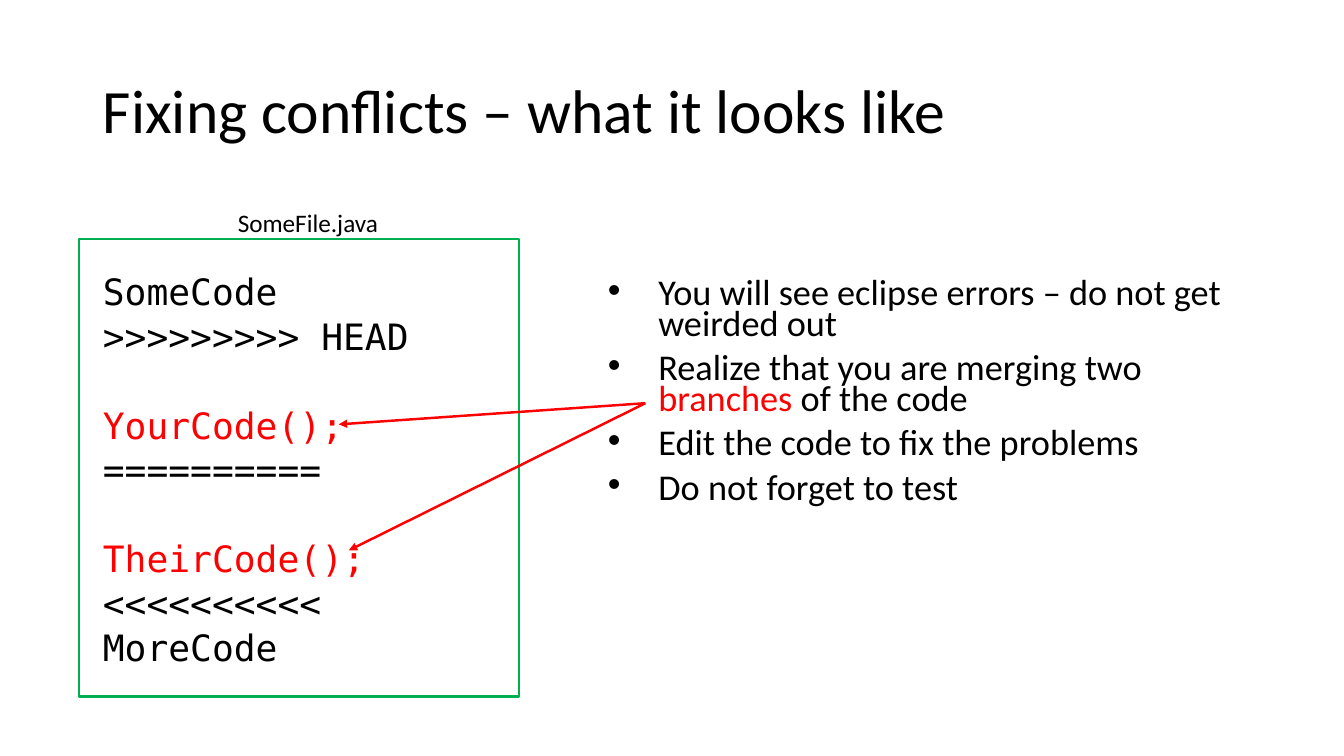
from lxml import etree
from pptx import Presentation
from pptx import util as u
from pptx.dml.color import RGBColor
from pptx.enum import shapes, text
from pptx.oxml.ns import qn

BLACK, RED, GREEN = "000000", "FF0000", "00B050"
SANS, MONO = "Calibri", "DejaVu Sans Mono"


def rgb(value):
    return RGBColor.from_string(value)


def add_text(p, content, font=SANS, size=18, color=BLACK):
    r = p.add_run()
    r.text = content
    r.font.name, r.font.size = font, u.Pt(size)
    r.font.color.rgb = rgb(color)


def set_bullet(p, char=None, indent=0):
    pPr = p._p.get_or_add_pPr()
    pPr.set("marL", str(u.Inches(indent)))
    pPr.set("indent", str(-u.Inches(indent)))
    if char:
        etree.SubElement(pPr, qn("a:buChar")).set("char", char)
    else:
        etree.SubElement(pPr, qn("a:buNone"))


class SlideBuilder:
    def __init__(self, prs):
        self.s = prs.slides.add_slide(prs.slide_layouts.get_by_name("Two Content"))

    def placeholder(self, idx, box):
        sp = self.s.placeholders[idx]
        sp.left, sp.top, sp.width, sp.height = map(u.Inches, box)
        tf = sp.text_frame
        tf.word_wrap, tf.auto_size = True, text.MSO_AUTO_SIZE.NONE
        return tf

    def title(self, content, box):
        tf = self.placeholder(0, box)
        tf.vertical_anchor = text.MSO_ANCHOR.MIDDLE
        p = tf.paragraphs[0]
        p.alignment, p.line_spacing = text.PP_ALIGN.LEFT, 0.9
        add_text(p, content, size=44)

    def body(self, idx, box, items, font=SANS, bullet=None, indent=0):
        """Each item is (space before, [(text, colour), ...])."""
        tf = self.placeholder(idx, box)
        for i, (space, runs) in enumerate(items):
            p = tf.add_paragraph() if i else tf.paragraphs[0]
            set_bullet(p, bullet, indent)
            p.line_spacing, p.space_before = 0.7, u.Pt(space)
            for content, color in runs:
                add_text(p, content, font=font, size=25.9, color=color)

    def frame(self, box, color):
        sp = self.s.shapes.add_shape(shapes.MSO_SHAPE.RECTANGLE, *map(u.Inches, box))
        sp.shadow.inherit = False
        sp.fill.background()
        sp.line.color.rgb, sp.line.width = rgb(color), u.Pt(1.5)

    def label(self, content, box):
        sp = self.s.shapes.add_textbox(*map(u.Inches, box))
        tf = sp.text_frame
        tf.word_wrap, tf.auto_size = False, text.MSO_AUTO_SIZE.SHAPE_TO_FIT_TEXT
        add_text(tf.paragraphs[0], content)

    def arrow(self, start, end, color):
        c = self.s.shapes.add_connector(
            shapes.MSO_CONNECTOR.STRAIGHT, *map(u.Inches, start + end))
        c.line.color.rgb, c.line.width = rgb(color), u.Pt(1.75)
        etree.SubElement(c.line._get_or_add_ln(), qn("a:tailEnd")).set("type", "triangle")
        etree.SubElement(c._element.spPr, qn("a:effectLst"))


def main():
    prs = Presentation()
    prs.slide_width, prs.slide_height = u.Inches(13.33), u.Inches(7.5)
    s = SlideBuilder(prs)
    s.title("Fixing conflicts – what it looks like", (0.92, 0.4, 11.5, 1.45))

    # Conflicted code, with a one-line gap above each version
    gap, line_gap = 10, 41.8
    s.body(1, (0.92, 2.74, 4.87, 4.03), [
        (0, [("SomeCode", BLACK)]),
        (gap, [(">>>>>>>>> HEAD", BLACK)]),
        (line_gap, [("YourCode();", RED)]),
        (gap, [("==========", BLACK)]),
        (line_gap, [("TheirCode();", RED)]),
        (gap, [("<<<<<<<<<<", BLACK)]),
        (gap, [("MoreCode", BLACK)]),
    ], font=MONO)

    # Advice
    s.body(2, (5.93, 2.74, 6.49, 4.03), [
        (0, [("You will see eclipse errors – do not get weirded out", BLACK)]),
        (gap, [("Realize that you are merging two ", BLACK), ("branches", RED),
               (" of the code", BLACK)]),
        (gap, [("Edit the code to fix the problems", BLACK)]),
        (gap, [("Do not forget to test", BLACK)]),
    ], bullet="•", indent=0.5)

    # File outline and name
    s.frame((0.78, 2.37, 4.37, 4.54), GREEN)
    s.label("SomeFile.java", (2.26, 2.01, 1.61, 0.4))

    # Arrows from "branches" to both versions
    for end in ((3.46, 5.46), (3.36, 4.21)):
        s.arrow((6.4, 4), end, RED)

    prs.save("out.pptx")


if __name__ == "__main__":
    main()
